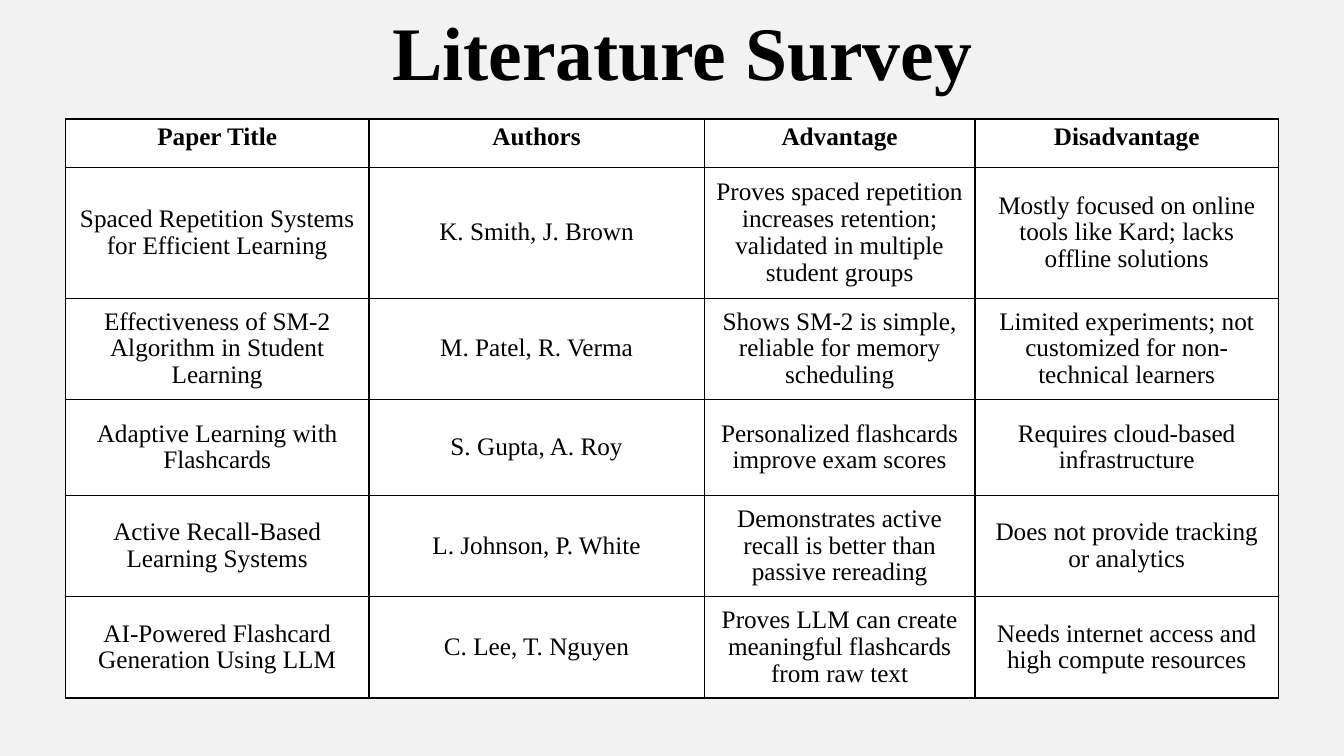
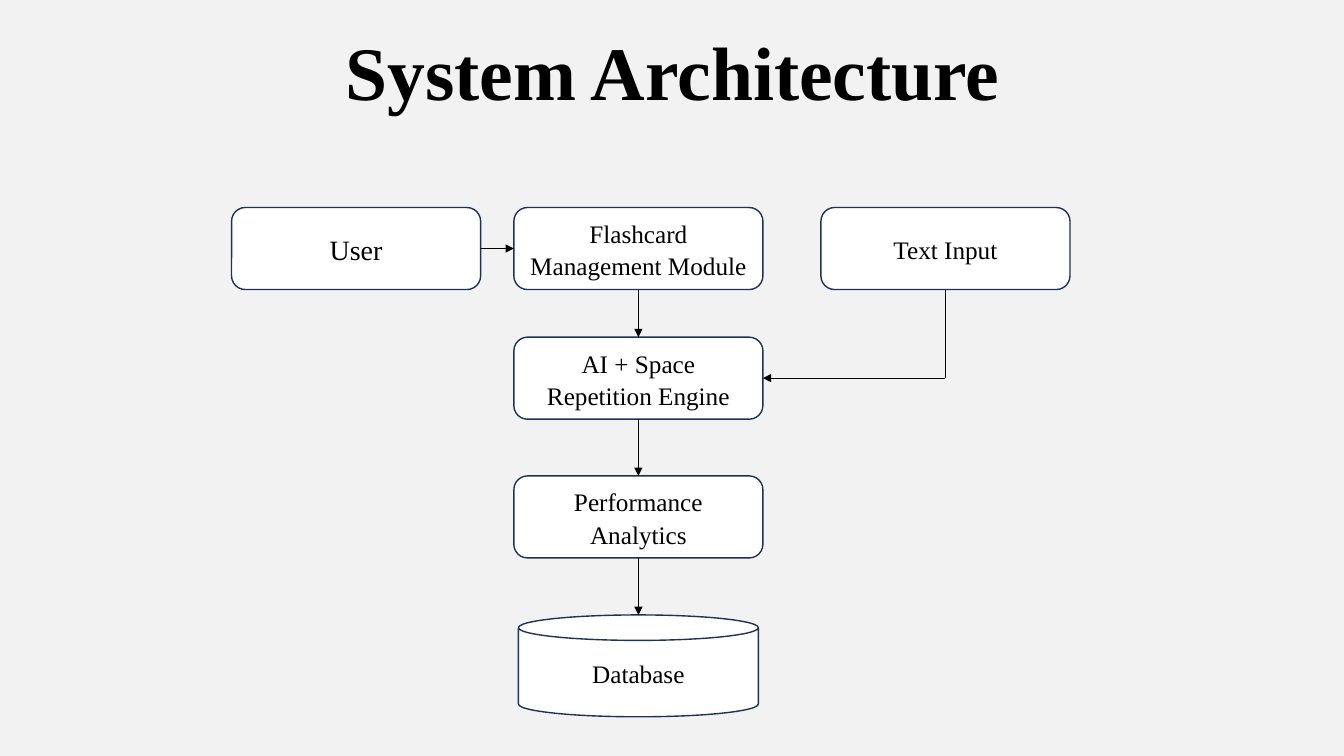
from lxml.etree import SubElement
from pptx import Presentation
from pptx.dml.color import RGBColor
from pptx.enum.shapes import MSO_CONNECTOR, MSO_SHAPE
from pptx.enum.text import MSO_ANCHOR, PP_ALIGN
from pptx.oxml import parse_xml
from pptx.oxml.ns import nsdecls, qn
from pptx.util import Inches, Pt

BLACK = "000000"
WHITE = "FFFFFF"
NAVY = "1E3256"
BACKGROUND = "F2F2F2"
FONT = "Times New Roman"


def color(hex_string):
    return RGBColor.from_string(hex_string)


def format_text(text_frame, size, bold=False, alignment=PP_ALIGN.CENTER, spacing=1.0):
    for paragraph in text_frame.paragraphs:
        paragraph.alignment = alignment
        paragraph.line_spacing = spacing
        for run in paragraph.runs:
            run.font.name = FONT
            run.font.size = Pt(size)
            run.font.bold = bold
            run.font.color.rgb = color(BLACK)


presentation = Presentation()
presentation.slide_width = Inches(13.33)
presentation.slide_height = Inches(7.5)
column = presentation.slide_width / 100
row = presentation.slide_height / 100

titles = [
    ("Literature Survey", 28.43, 0, 46, PP_ALIGN.LEFT),
    ("System Architecture", 23.4, 2.67, 53.26, PP_ALIGN.CENTER),
]
slides = []
for title, left, top, width, alignment in titles:
    slide = presentation.slides.add_slide(presentation.slide_layouts[6])
    slide.background.fill.solid()
    slide.background.fill.fore_color.rgb = color(BACKGROUND)
    title_box = slide.shapes.add_textbox(
        int(left * column), int(top * row), int(width * column), int(13.47 * row)
    )
    title_box.text_frame.word_wrap = True
    title_box.text_frame.text = title
    format_text(title_box.text_frame, 54, True, alignment)
    slides.append(slide)
survey_slide, architecture_slide = slides

papers = [
    ("Paper Title", "Authors", "Advantage", "Disadvantage"),
    (
        "Spaced Repetition Systems for Efficient Learning",
        "K. Smith, J. Brown",
        "Proves spaced repetition increases retention; validated in multiple student groups",
        "Mostly focused on online tools like Kard; lacks offline solutions",
    ),
    (
        "Effectiveness of SM-2 Algorithm in Student Learning",
        "M. Patel, R. Verma",
        "Shows SM-2 is simple, reliable for memory scheduling",
        "Limited experiments; not customized for non-technical learners",
    ),
    (
        "Adaptive Learning with Flashcards",
        "S. Gupta, A. Roy",
        "Personalized flashcards improve exam scores",
        "Requires cloud-based infrastructure",
    ),
    (
        "Active Recall-Based Learning Systems",
        "L. Johnson, P. White",
        "Demonstrates active recall is better than passive rereading",
        "Does not provide tracking or analytics",
    ),
    (
        "AI-Powered Flashcard Generation Using LLM",
        "C. Lee, T. Nguyen",
        "Proves LLM can create meaningful flashcards from raw text",
        "Needs internet access and high compute resources",
    ),
]
column_shares = [22.58, 24.95, 20.15, 22.58]
row_shares = [6.4, 17.3, 13.4, 12.7, 13.4, 13.4]
table = survey_slide.shapes.add_table(
    len(papers), len(column_shares),
    int(4.87 * column), int(15.75 * row),
    int(sum(column_shares) * column), int(sum(row_shares) * row),
).table
table.horz_banding = False
for table_column, share in zip(table.columns, column_shares):
    table_column.width = int(share * column)
for table_row, share in zip(table.rows, row_shares):
    table_row.height = int(share * row)

for row_index, paper in enumerate(papers):
    is_header = row_index == 0
    for column_index, text in enumerate(paper):
        cell = table.cell(row_index, column_index)
        cell.text_frame.text = text
        cell.vertical_anchor = MSO_ANCHOR.TOP if is_header else MSO_ANCHOR.MIDDLE
        format_text(cell.text_frame, 18, is_header, spacing=0.96)
        cell.fill.solid()
        cell.fill.fore_color.rgb = color(WHITE)
        properties = cell._tc.get_or_add_tcPr()
        for position, side in enumerate(("lnL", "lnR", "lnT", "lnB")):
            border = parse_xml(
                f'<a:{side} {nsdecls("a")} w="{Pt(1)}"><a:solidFill>'
                f'<a:srgbClr val="{BLACK}"/></a:solidFill></a:{side}>'
            )
            properties.insert(position, border)

left_center, middle_center, right_center = 26.5, 47.5, 70.35
box_size = (18.53, 10.85)
nodes = [
    ("user", "User", left_center, 27.45, box_size, MSO_SHAPE.ROUNDED_RECTANGLE, 20),
    ("module", "Flashcard Management Module", middle_center, 27.45, box_size,
     MSO_SHAPE.ROUNDED_RECTANGLE, 18),
    ("input", "Text Input", right_center, 27.45, box_size, MSO_SHAPE.ROUNDED_RECTANGLE, 18),
    ("engine", "AI + Space Repetition Engine", middle_center, 44.6, box_size,
     MSO_SHAPE.ROUNDED_RECTANGLE, 18),
    ("analytics", "Performance\nAnalytics", middle_center, 62.95, box_size,
     MSO_SHAPE.ROUNDED_RECTANGLE, 18),
    ("database", "Database", middle_center, 81.35, (17.85, 13.47), MSO_SHAPE.CAN, 18),
]
shapes = {}
for name, text, center, top, (width, height), kind, size in nodes:
    shape = architecture_slide.shapes.add_shape(
        kind, int((center - width / 2) * column), int(top * row),
        int(width * column), int(height * row),
    )
    shape.shadow.inherit = False
    shape.fill.solid()
    shape.fill.fore_color.rgb = color(WHITE)
    shape.line.color.rgb = color(NAVY)
    shape.line.width = Pt(1)
    shape.text_frame.word_wrap = True
    shape.text_frame.vertical_anchor = MSO_ANCHOR.MIDDLE
    shape.text_frame.text = text
    format_text(shape.text_frame, size, spacing=1.07)
    shapes[name] = shape

TOP, LEFT, BOTTOM, RIGHT = range(4)
CAN_TOP = 1
corner = (
    shapes["input"].left + shapes["input"].width // 2,
    shapes["engine"].top + shapes["engine"].height // 2,
)
links = [
    (("user", RIGHT), ("module", LEFT)),
    (("module", BOTTOM), ("engine", TOP)),
    (("engine", BOTTOM), ("analytics", TOP)),
    (("analytics", BOTTOM), ("database", CAN_TOP)),
    (("input", BOTTOM), None),
    (None, ("engine", RIGHT)),
]
for start, end in links:
    connector = architecture_slide.shapes.add_connector(
        MSO_CONNECTOR.STRAIGHT, *corner, *corner
    )
    if start:
        connector.begin_connect(shapes[start[0]], start[1])
    if end:
        connector.end_connect(shapes[end[0]], end[1])
    if end and end[0] == "database":
        connector.end_x = shapes["database"].left + shapes["database"].width // 2
        connector.end_y = shapes["database"].top
    connector.line.color.rgb = color(BLACK)
    connector.line.width = Pt(0.5)
    if end:
        SubElement(connector.line._get_or_add_ln(), qn("a:tailEnd"), type="triangle")
    SubElement(connector._element.spPr, qn("a:effectLst"))

presentation.save("out.pptx")
